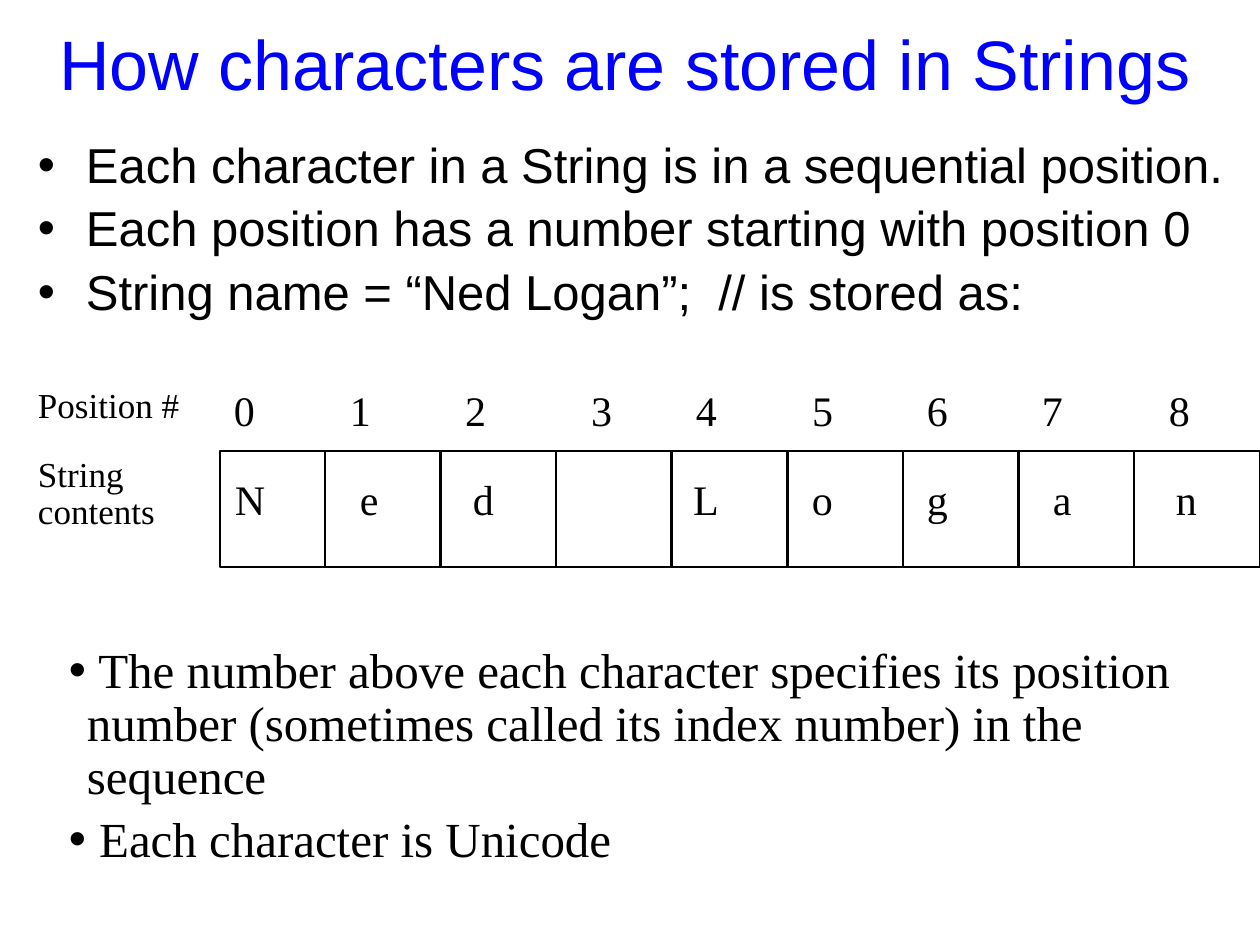
from dataclasses import dataclass

from lxml import etree
from pptx import Presentation
from pptx.dml.color import RGBColor
from pptx.enum.shapes import MSO_CONNECTOR, MSO_SHAPE
from pptx.enum.text import MSO_ANCHOR, PP_ALIGN
from pptx.oxml.ns import qn
from pptx.util import Emu, Pt

LEFT, CENTER = PP_ALIGN.LEFT, PP_ALIGN.CENTER
TOP, MIDDLE = MSO_ANCHOR.TOP, MSO_ANCHOR.MIDDLE
RECTANGLE, STRAIGHT = MSO_SHAPE.RECTANGLE, MSO_CONNECTOR.STRAIGHT


@dataclass(frozen=True)
class Theme:
    """Fonts, sizes and colours of the slide."""
    sans: str = "Arial"
    serif: str = "Times New Roman"
    title: int = 40
    body: int = 28
    cell: int = 24
    label: int = 20
    line: float = 1.5
    blue: RGBColor = RGBColor(0, 0, 255)
    black: RGBColor = RGBColor(0, 0, 0)


THEME = Theme()
PIXEL = 914400 // 126
INSET = 6

TITLE = "How characters are stored in Strings"
FACTS = [
    "Each character in a String is in a sequential position.",
    "Each position has a number starting with position 0",
    "String name = “Ned Logan”;  // is stored as:",
]
NOTES = [
    " The number above each character specifies its position number "
    "(sometimes called its index number) in the sequence",
    " Each character is Unicode",
]
POSITION_LABEL = ["Position #"]
CONTENTS_LABEL = ["String", "contents"]

# Each entry: text and the left edge of its column
POSITIONS = [("0", 234), ("1", 350), ("2", 465), ("3", 591), ("4", 696),
             ("5", 812), ("6", 927), ("7", 1042), ("8", 1169)]
CHARACTERS = [("N", 235), ("e", 360), ("d", 473), (" ", 580), ("L", 693),
              ("o", 812), ("g", 927), ("a", 1053), ("n", 1176)]

GRID = (220, 451, 1040, 116)
FIRST_DIVIDER, LAST_DIVIDER = 325, 1134


def px(value):
    """Turn picture pixels into EMU."""
    return Emu(round(value * PIXEL))


def add_text(shapes, area, lines, font, size, color=THEME.black, align=LEFT,
             anchor=TOP, spacing=1.0, before=0, hanging=0, wrap=True):
    """Add a text box with one paragraph per line; hanging adds bullets."""
    box = shapes.add_textbox(*map(px, area))
    frame = box.text_frame
    frame.word_wrap = wrap
    frame.vertical_anchor = anchor
    frame.margin_left = frame.margin_right = px(INSET)
    frame.margin_top = frame.margin_bottom = px(INSET)
    for index, line in enumerate(lines):
        para = frame.add_paragraph() if index else frame.paragraphs[0]
        para.alignment = align
        para.line_spacing = spacing
        para.space_before = Pt(before)
        if hanging:
            add_bullet(para, hanging)
        span = para.add_run()
        span.text = line
        span.font.name = font
        span.font.size = Pt(size)
        span.font.color.rgb = color
    return box


def add_bullet(para, hanging):
    """Give a paragraph a round bullet and a hanging indent."""
    properties = para._p.get_or_add_pPr()
    properties.set("marL", str(px(hanging)))
    properties.set("indent", str(-px(hanging)))
    etree.SubElement(properties, qn("a:buFont"), typeface="Arial")
    etree.SubElement(properties, qn("a:buChar"), char="•")


def add_row(shapes, top, entries):
    """Write one row of the array, with a tab stop for each column."""
    start = entries[0][1]
    line = "\t".join(text for text, _ in entries)
    box = add_text(shapes, (start - INSET, top, 1250 - start, 58), [line],
                   THEME.serif, THEME.cell)
    properties = box.text_frame.paragraphs[0]._p.get_or_add_pPr()
    stops = etree.SubElement(properties, qn("a:tabLst"))
    for _, left in entries[1:]:
        etree.SubElement(stops, qn("a:tab"), pos=str(px(left - start)), algn="l")


def add_grid(shapes):
    """Draw the outline of the array and its evenly spaced dividers."""
    _, top, _, height = GRID
    outline = shapes.add_shape(RECTANGLE, *map(px, GRID))
    outline.shadow.inherit = False
    outline.fill.background()
    drawn = [outline]
    gaps = len(CHARACTERS) - 2
    for index in range(gaps + 1):
        x = FIRST_DIVIDER + (LAST_DIVIDER - FIRST_DIVIDER) * index / gaps
        divider = shapes.add_connector(STRAIGHT, px(x), px(top),
                                       px(x), px(top + height))
        etree.SubElement(divider._element.spPr, qn("a:effectLst"))
        drawn.append(divider)
    for item in drawn:
        item.line.color.rgb = THEME.black
        item.line.width = Pt(THEME.line)


def build():
    """Build the slide and save the deck."""
    deck = Presentation()
    deck.slide_width, deck.slide_height = px(1260), px(945)
    page = deck.slides.add_slide(deck.slide_layouts[6])
    shapes = page.shapes
    add_text(shapes, (42, 10, 1166, 105), [TITLE], THEME.sans, THEME.title,
             THEME.blue, CENTER, MIDDLE)
    add_text(shapes, (32, 135, 1239, 199), FACTS, THEME.sans, THEME.body,
             spacing=0.9, before=6, hanging=48)
    array = shapes.add_group_shape().shapes
    add_grid(array)
    add_row(array, 467, CHARACTERS)
    add_row(array, 378, POSITIONS)
    add_text(shapes, (32, 378, 155, 52), POSITION_LABEL, THEME.serif,
             THEME.label, wrap=False)
    add_text(shapes, (32, 451, 131, 88), CONTENTS_LABEL, THEME.serif,
             THEME.label, spacing=0.9, wrap=False)
    add_text(shapes, (63, 640, 1137, 244), NOTES, THEME.serif, THEME.body,
             spacing=0.9, before=6, hanging=18)
    deck.save("out.pptx")


build()
